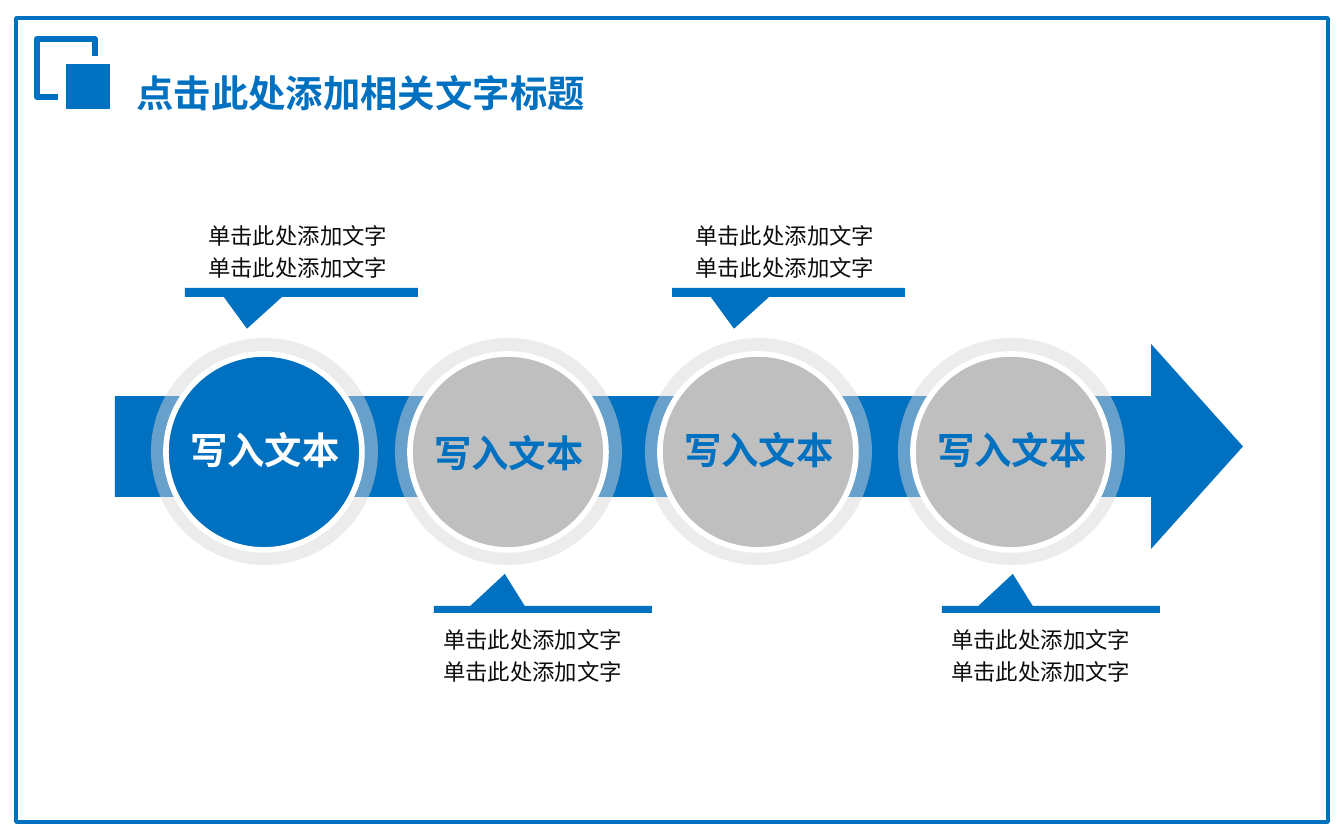
from pptx import Presentation
from pptx.dml.color import RGBColor
from pptx.enum.shapes import MSO_SHAPE as Shape
from pptx.enum.text import MSO_ANCHOR as Anchor, PP_ALIGN as Align
from pptx.oxml.ns import qn
from pptx.util import Emu, Pt
from lxml.etree import SubElement

FONT = "Noto Sans CJK SC"
BLUE, GREY, PALE, WHITE, INK = "0070C0", "BFBFBF", "D8D8D8", "FFFFFF", "0D0D0D"
TITLE = "点击此处添加相关文字标题"
LABEL = "写入文本"
NOTE = ["单击此处添加文字"] * 2
STEPS = [
    {"left": 151, "label_top": 418, "fill": BLUE, "color": WHITE, "bar": 185, "side": "above"},
    {"left": 395, "label_top": 421, "fill": GREY, "color": BLUE, "bar": 434, "side": "below"},
    {"left": 645, "label_top": 418, "fill": GREY, "color": BLUE, "bar": 672, "side": "above"},
    {"left": 898, "label_top": 418, "fill": GREY, "color": BLUE, "bar": 942, "side": "below"},
]
SIDES = {
    "above": {"bar": (288, 233, 9), "tip": (-0.234, 4.033), "indent": 10, "note_top": 210},
    "below": {"bar": (606, 218, 7), "tip": (-0.175, -5.095), "indent": -4, "note_top": 614},
}


def px(value):
    """Turn px into EMU."""
    return Emu(round(value * 914400 / 134.4))


def rgb(code):
    """Turn a hex string into a colour."""
    return RGBColor.from_string(code)


def add_shape(parent, kind, area, fill=None, line=None, width=0, adjust=(), alpha=None):
    """Add a preset shape with flat fill and line."""
    shape = parent.shapes.add_shape(kind, *map(px, area))
    shape.shadow.inherit = False
    for index, value in enumerate(adjust):
        shape.adjustments[index] = value
    if fill:
        shape.fill.solid()
        shape.fill.fore_color.rgb = rgb(fill)
    else:
        shape.fill.background()
    if alpha:
        color = shape.fill._xPr.find(qn("a:solidFill"))[0]
        SubElement(color, qn("a:alpha")).set("val", str(alpha * 1000))
    if line:
        shape.line.color.rgb = rgb(line)
        shape.line.width = Pt(width)
    else:
        shape.line.fill.background()


def add_text(parent, lines, area, size, color, spacing, bold=False, align=Align.LEFT, wrap=True):
    """Add a text box with one paragraph per line."""
    box = parent.shapes.add_textbox(*map(px, area))
    frame = box.text_frame
    frame.word_wrap = wrap
    frame.vertical_anchor = Anchor.TOP
    for index, line in enumerate(lines):
        para = frame.add_paragraph() if index else frame.paragraphs[0]
        para.alignment = align
        para.line_spacing = Pt(spacing)
        span = para.add_run()
        span.text = line
        span.font.size = Pt(size)
        span.font.bold = bold
        span.font.name = FONT
        span.font.color.rgb = rgb(color)
        SubElement(span.font._element, qn("a:ea")).set("typeface", FONT)


def add_step(page, step):
    """Add a ringed circle with its label, callout bar and note."""
    left, side = step["left"], SIDES[step["side"]]
    group = page.shapes.add_group_shape()
    add_shape(group, Shape.OVAL, (left, 338, 227, 227), PALE, alpha=48)
    add_shape(group, Shape.OVAL, (left + 15, 354, 196, 196), step["fill"], WHITE, 3)
    add_text(group, [LABEL], (left - 11, step["label_top"], 250, 81), 20, step["color"], 25.5,
             bold=True, align=Align.CENTER)
    top, width, height = side["bar"]
    add_shape(page, Shape.RECTANGULAR_CALLOUT, (step["bar"], top, width, height), BLUE,
              adjust=side["tip"])
    add_text(page, NOTE, (step["bar"] + side["indent"], side["note_top"], 216, 79), 12, INK, 17.2)


def main():
    """Build the slide and save it."""
    deck = Presentation()
    deck.slide_width, deck.slide_height = px(1344), px(840)
    page = deck.slides.add_slide(deck.slide_layouts[6])
    add_shape(page, Shape.RECTANGLE, (16, 18, 1312, 804), WHITE, BLUE, 2)
    add_shape(page, Shape.RECTANGLE, (37, 39, 58, 58), line=BLUE, width=3)
    add_shape(page, Shape.RECTANGLE, (62, 60, 52, 53), BLUE, WHITE, 4.5)
    add_text(page, [TITLE], (123, 60, 480, 59), 20, BLUE, 26, bold=True, wrap=False)
    add_shape(page, Shape.RIGHT_ARROW, (115, 344, 1128, 205), BLUE, adjust=(0.491, 0.448))
    for step in STEPS:
        add_step(page, step)
    deck.save("out.pptx")


if __name__ == "__main__":
    main()
